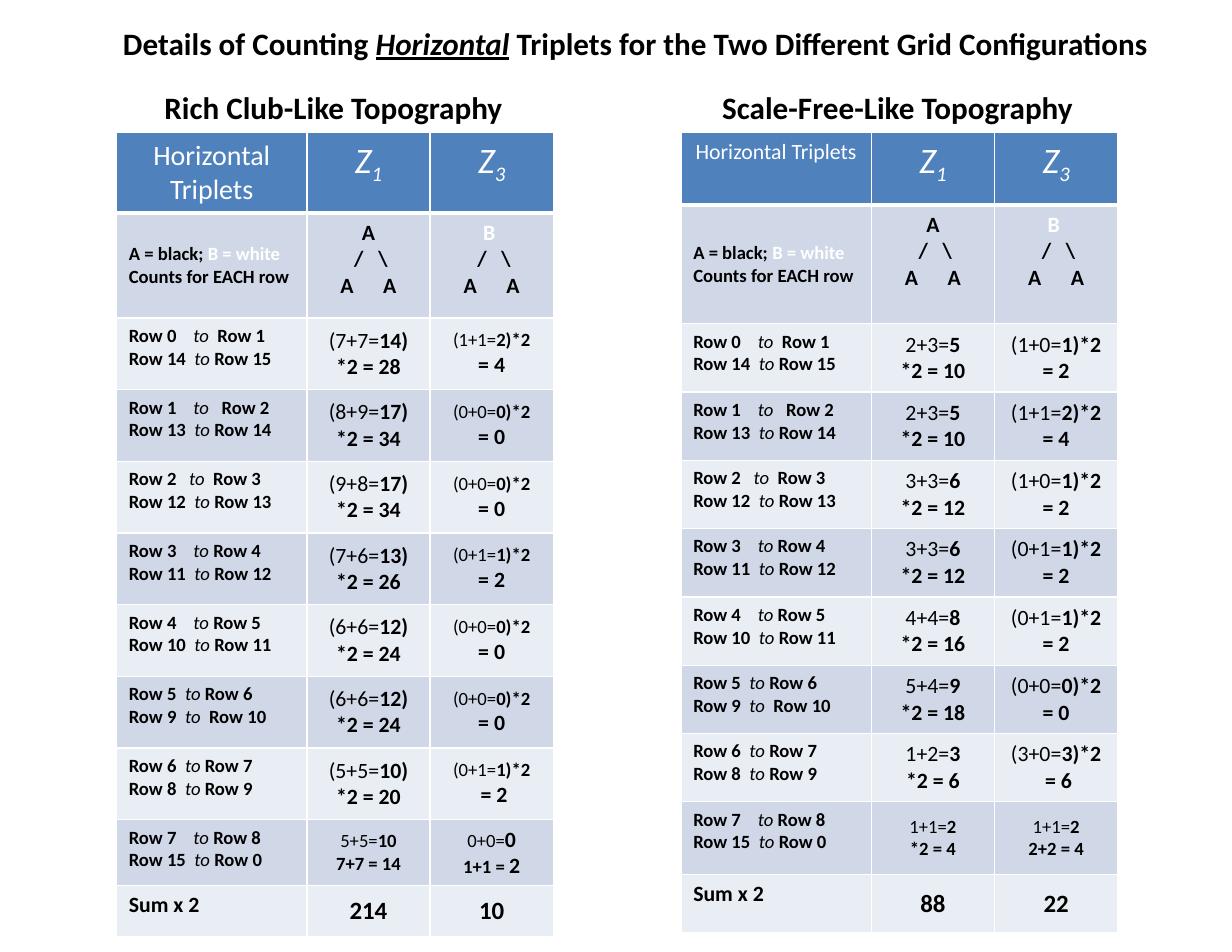
from lxml.etree import SubElement
from pptx import Presentation
from pptx.dml.color import RGBColor
from pptx.enum.text import MSO_ANCHOR, MSO_AUTO_SIZE, PP_ALIGN
from pptx.oxml.ns import qn
from pptx.util import Inches, Pt

COLORS = {"black": "000000", "white": "FFFFFF", "head": "4F81BD",
          "dark": "D0D8E8", "light": "E9EDF4"}

# Underscores enclose the italic part of a label.
LABELS = [
    ("Row 0    _to  _Row 1", "Row 14  _to _Row 15"),
    ("Row 1    _to   _Row 2", "Row 13  _to _Row 14"),
    ("Row 2   _to  _Row 3", "Row 12  _to _Row 13"),
    ("Row 3    _to _Row 4", "Row 11  _to _Row 12"),
    ("Row 4    _to _Row 5", "Row 10  _to _Row 11"),
    ("Row 5  _to _Row 6", "Row 9  _to _ Row 10"),
    ("Row 6  _to _Row 7", "Row 8  _to _Row 9"),
    ("Row 7    _to _Row 8", "Row 15  _to _Row 0"),
]
RICH_Z1 = ["(7+7=14) *2 = 28", "(8+9=17) *2 = 34", "(9+8=17) *2 = 34",
           "(7+6=13) *2 = 26", "(6+6=12) *2 = 24", "(6+6=12) *2 = 24",
           "(5+5=10) *2 = 20"]
RICH_Z3 = ["(1+1=2)*2\n= 4", "(0+0=0)*2\n= 0", "(0+0=0)*2\n= 0",
           "(0+1=1)*2\n= 2", "(0+0=0)*2\n= 0", "(0+0=0)*2\n= 0",
           "(0+1=1)*2\n = 2"]
FREE_Z1 = ["2+3=5\n*2 = 10", "2+3=5\n*2 = 10", "3+3=6\n*2 = 12",
           "3+3=6\n*2 = 12", "4+4=8\n*2 = 16", "5+4=9\n*2 = 18",
           "1+2=3\n*2 = 6"]
FREE_Z3 = ["(1+0=1)*2\n= 2", "(1+1=2)*2\n= 4", "(1+0=1)*2\n= 2",
           "(0+1=1)*2\n= 2", "(0+1=1)*2\n= 2", "(0+0=0)*2\n= 0",
           "(3+0=3)*2\n = 6"]


def span(text, size, style="b", color="black"):
    """Describe one run; style letters: b bold, i italic, u underline, s subscript."""
    return text, size, style, color


def write(frame, lines, align=PP_ALIGN.LEFT):
    """Fill a text frame with lines, each a list of spans."""
    for i, line in enumerate(lines):
        para = frame.paragraphs[0] if i == 0 else frame.add_paragraph()
        para.alignment = align
        para.font.name = "Calibri"
        for text, size, style, color in line:
            run = para.add_run()
            run.text = text
            font = run.font
            font.name, font.size = "Calibri", Pt(size)
            font.bold, font.italic = "b" in style, "i" in style
            font.underline = "u" in style
            font.color.rgb = RGBColor.from_string(COLORS[color])
            if "s" in style:
                run._r.get_or_add_rPr().set("baseline", "-25000")


def add_title(slide, left, top, width, spans):
    box = slide.shapes.add_textbox(
        Inches(left), Inches(top), Inches(width), Inches(0.44))
    box.text_frame.word_wrap = False
    box.text_frame.auto_size = MSO_AUTO_SIZE.SHAPE_TO_FIT_TEXT
    write(box.text_frame, [spans])


def add_edges(cell, base):
    """Draw white borders, with the given width in points at the bottom."""
    props = cell._tc.get_or_add_tcPr()
    for i, (tag, width) in enumerate(
            [("a:lnL", 1), ("a:lnR", 1), ("a:lnT", 1), ("a:lnB", base)]):
        line = props.makeelement(qn(tag), {"w": str(Pt(width))})
        fill = SubElement(line, qn("a:solidFill"))
        SubElement(fill, qn("a:srgbClr"), val=COLORS["white"])
        props.insert(i, line)


def label(pair):
    return [[span(part, 12, "i" if i % 2 else "b")
             for i, part in enumerate(line.split("_"))] for line in pair]


def count(text, sizes):
    """Set all after the first equals sign in bold, one size per line."""
    first, *rest = text.split("\n")
    plain, sign, bold = first.partition("=")
    lines = [[span(plain + sign, sizes[0], ""), span(bold, sizes[0])]]
    return lines + [[span(line, sizes[1])] for line in rest]


def tree(root, color):
    return [[span(root, 14, "b", color)],
            [span(" /   \\", 14)], [span("A      A", 14)]]


def head(digit):
    return [[span("Z", 23, "i", "white"), span(digit, 23, "is", "white")]]


def build_rows(size, first, third, third_sizes, last, sums):
    """List the rows of one table, from heading to sum."""
    key = [[span("A = black; ", 12), span("B = white", 12, "b", "white")],
           [span("Counts for EACH row", 12)]]
    rows = [
        [[[span("Horizontal Triplets", size, "", "white")]], head("1"), head("3")],
        [key, tree("A", "black"), tree("B ", "white")],
    ]
    counts = [(count(a, (14, 14)), count(b, third_sizes))
              for a, b in zip(first, third)] + [last]
    rows += [[label(pair), *cells] for pair, cells in zip(LABELS, counts)]
    rows.append([[[span("Sum x 2", 14)]]] + [[[span(s, 16)]] for s in sums])
    return rows


def add_grid(slide, left, heights, rows):
    widths = [1.7, 1.1, 1.1]
    table = slide.shapes.add_table(
        len(rows), len(widths), Inches(left), Inches(1.18),
        Inches(sum(widths)), Inches(sum(heights))).table
    for col, width in zip(table.columns, widths):
        col.width = Inches(width)
    for r, (height, row) in enumerate(zip(heights, rows)):
        table.rows[r].height = Inches(height)
        shade = "head" if r == 0 else "dark" if r % 2 else "light"
        for c, lines in enumerate(row):
            cell = table.cell(r, c)
            cell.margin_left = cell.margin_right = Inches(0.11)
            cell.margin_top = cell.margin_bottom = Inches(0.06)
            middle = (r == 1 and c == 0) or (r > 1 and c > 0)
            cell.vertical_anchor = MSO_ANCHOR.MIDDLE if middle else MSO_ANCHOR.TOP
            cell.fill.solid()
            cell.fill.fore_color.rgb = RGBColor.from_string(COLORS[shade])
            add_edges(cell, 1 if r else 3)
            centred = r == 0 or c > 0
            write(cell.text_frame, lines,
                  PP_ALIGN.CENTER if centred else PP_ALIGN.LEFT)


def main():
    deck = Presentation()
    deck.slide_width, deck.slide_height = Inches(11), Inches(8.5)
    slide = deck.slides.add_slide(deck.slide_layouts[6])

    add_title(slide, 1, 0.17, 9.46, [
        span("Details of Counting ", 20), span("Horizontal", 20, "biu"),
        span(" Triplets for the Two Different Grid Configurations", 20)])
    add_title(slide, 1.37, 0.74, 3.27, [span("Rich Club-Like Topography", 20)])
    add_title(slide, 6.35, 0.74, 3.36, [span("Scale-Free-Like Topography", 20)])

    small = (12, 12)
    mixed = [[span("0+0=", 12, ""), span("0", 14)],
             [span("1+1 = ", 12), span("2", 14)]]
    rich = build_rows(18, RICH_Z1, RICH_Z3, (12, 14),
                      (count("5+5=10\n7+7 = 14", small), mixed), ("214", "10"))
    free = build_rows(14, FREE_Z1, FREE_Z3, (14, 14),
                      (count("1+1=2\n*2 = 4", small),
                       count("1+1=2\n2+2 = 4", small)), ("88", "22"))
    add_grid(slide, 1.04, [0.5, 0.94] + [0.64] * 7 + [0.58, 0.46], rich)
    add_grid(slide, 6.08, [0.65, 1.06] + [0.61] * 7 + [0.65, 0.52], free)
    deck.save("out.pptx")


if __name__ == "__main__":
    main()
